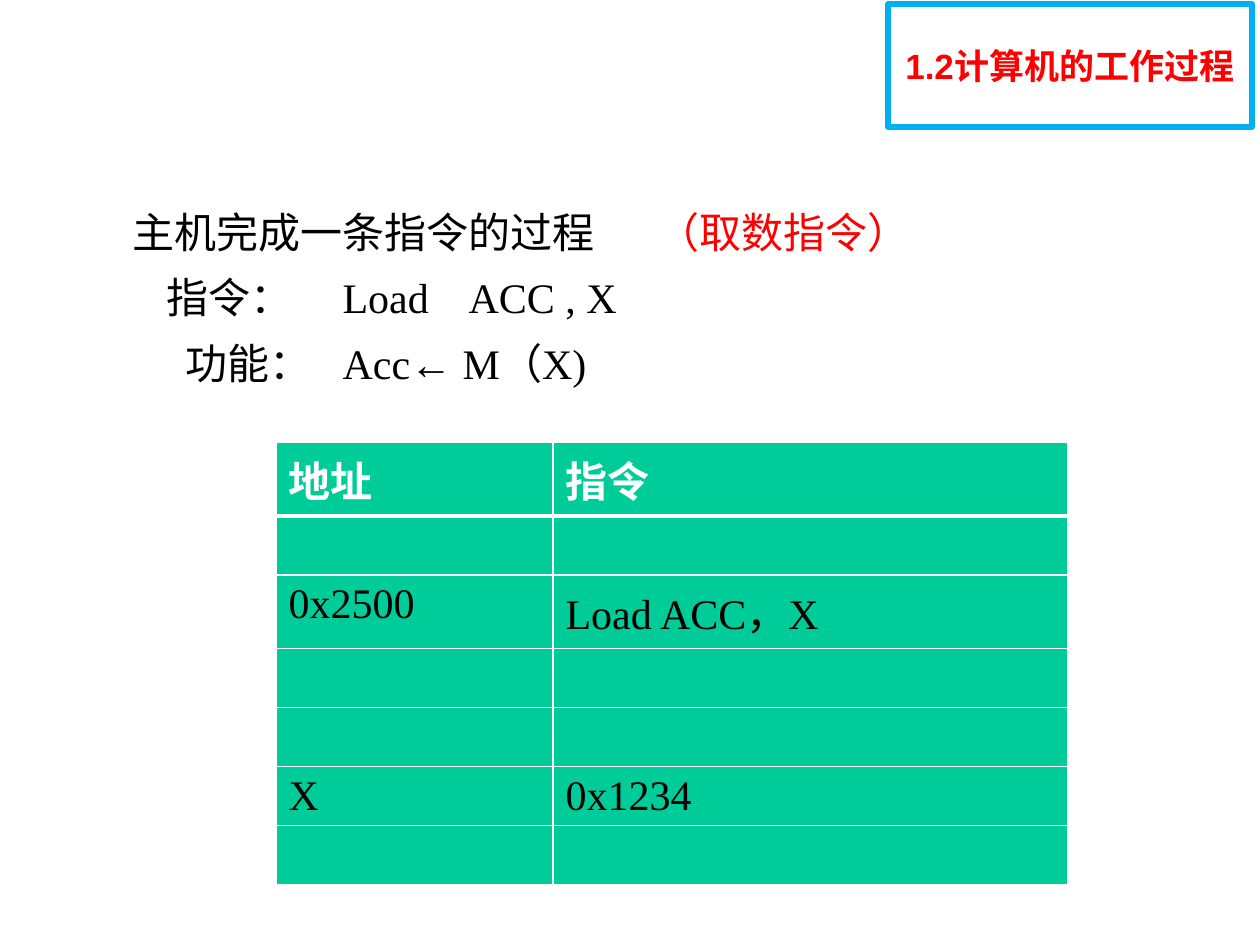
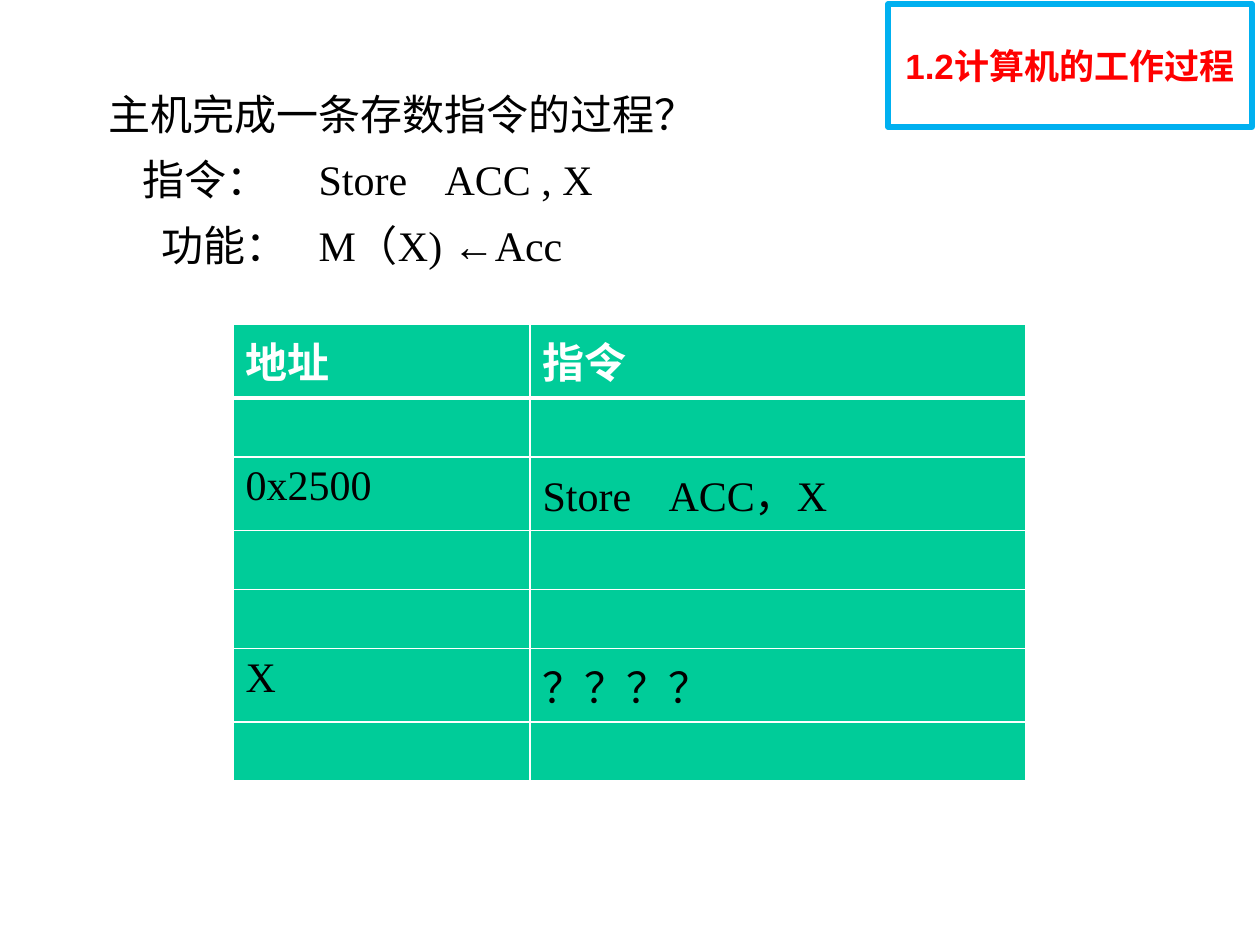
import pptx
import pptx.dml.color
import pptx.enum.shapes
import pptx.enum.text
import pptx.oxml
import pptx.oxml.ns
import pptx.util

RGBColor = pptx.dml.color.RGBColor
BLACK = RGBColor(0x00, 0x00, 0x00)
WHITE = RGBColor(0xFF, 0xFF, 0xFF)
RED = RGBColor(0xFF, 0x00, 0x00)
SKY = RGBColor(0x00, 0xB0, 0xF0)
GREEN = RGBColor(0x00, 0xCC, 0x99)

SERIF = "Times New Roman"
SANS = "Arial"
EMU_PER_PX = 914400 / 126
TITLE_ONLY = 5
NAMESPACE = pptx.oxml.ns.nsdecls("a")


def px(length):
    return pptx.util.Emu(round(length * EMU_PER_PX))


def write(paragraph, text, size=24, font=SERIF, color=BLACK, bold=False):
    run = paragraph.add_run()
    run.text = text
    run.font.size = pptx.util.Pt(size)
    run.font.name = font
    run.font.color.rgb = color
    run.font.bold = bold


def set_tabs(paragraph, stops, indent=0):
    properties = paragraph._p.get_or_add_pPr()
    properties.set("marL", "0")
    properties.set("indent", str(px(indent)))
    tabs = "".join(f'<a:tab pos="{px(stop)}" algn="l"/>' for stop in stops)
    properties.append(pptx.oxml.parse_xml(f"<a:tabLst {NAMESPACE}>{tabs}</a:tabLst>"))


def set_border(cell, side, width):
    cell._tc.get_or_add_tcPr().append(pptx.oxml.parse_xml(
        f'<a:ln{side} {NAMESPACE} w="{pptx.util.Pt(width)}">'
        f'<a:solidFill><a:srgbClr val="{WHITE}"/></a:solidFill></a:ln{side}>'))


class Deck:
    def __init__(self):
        self.presentation = pptx.Presentation()
        self.presentation.slide_width = px(1260)
        self.presentation.slide_height = px(945)
        self.slide = None

    def add_slide(self):
        layout = self.presentation.slide_layouts[TITLE_ONLY]
        self.slide = self.presentation.slides.add_slide(layout)

    def add_title(self, left, top, lines):
        title = self.slide.shapes.title
        title.left, title.top, title.width, title.height = map(px, (left, top, 1119, 665))
        frame = title.text_frame
        frame.word_wrap = True
        frame.auto_size = pptx.enum.text.MSO_AUTO_SIZE.NONE
        frame.vertical_anchor = pptx.enum.text.MSO_ANCHOR.TOP
        for index, (indent, stops, runs) in enumerate(lines):
            paragraph = frame.add_paragraph() if index else frame.paragraphs[0]
            paragraph.alignment = pptx.enum.text.PP_ALIGN.LEFT
            paragraph.line_spacing = 1.3
            set_tabs(paragraph, stops, indent)
            for text, color in runs:
                write(paragraph, text, color=color)

    def add_memory_table(self, left, top, widths, heights, contents, stops=()):
        table = self.slide.shapes.add_table(
            len(heights), len(widths), px(left), px(top),
            px(sum(widths)), px(sum(heights))).table
        for column, width in zip(table.columns, widths):
            column.width = px(width)
        for row_index, height in enumerate(heights):
            table.rows[row_index].height = px(height)
            texts = contents.get(row_index, ("", ""))
            for column_index, text in enumerate(texts):
                cell = table.cell(row_index, column_index)
                self.format_cell(cell, row_index)
                if text:
                    paragraph = cell.text_frame.paragraphs[0]
                    if "\t" in text:
                        set_tabs(paragraph, stops)
                    header = row_index == 0
                    write(paragraph, text, color=WHITE if header else BLACK, bold=header)

    def format_cell(self, cell, row_index):
        top_width = 3 if row_index == 1 else 1
        bottom_width = 3 if row_index == 0 else 1
        for side, width in (("L", 1), ("R", 1), ("T", top_width), ("B", bottom_width)):
            set_border(cell, side, width)
        cell.fill.solid()
        cell.fill.fore_color.rgb = GREEN

    def add_section_box(self, text):
        box = self.slide.shapes.add_shape(
            pptx.enum.shapes.MSO_SHAPE.RECTANGLE, *map(px, (888, 4, 364, 123)))
        box.shadow.inherit = False
        box.fill.background()
        box.line.color.rgb = SKY
        box.line.width = pptx.util.Pt(3)
        frame = box.text_frame
        frame.word_wrap = True
        frame.vertical_anchor = pptx.enum.text.MSO_ANCHOR.MIDDLE
        paragraph = frame.paragraphs[0]
        paragraph.alignment = pptx.enum.text.PP_ALIGN.CENTER
        write(paragraph, text, size=20, font=SANS, color=RED, bold=True)


def main():
    section = "1.2计算机的工作过程"
    header = ("地址", "指令")
    deck = Deck()

    deck.add_slide()
    deck.add_title(78, 185, [
        (42, [543], [("主机完成一条指令的过程\t", BLACK), ("（取数指令）", RED)]),
        (76, [231, 336], [("指令：\tLoad\tACC , X", BLACK)]),
        (95, [250], [("功能：\tAcc← M（X)", BLACK)]),
    ])
    deck.add_memory_table(
        276, 442, [277, 515], [74, 59, 73, 59, 59, 59, 59],
        {0: header, 2: ("0x2500", "Load ACC，X"), 5: ("X", "0x1234")})
    deck.add_section_box(section)

    deck.add_slide()
    deck.add_title(54, 67, [
        (42, [], [("主机完成一条存数指令的过程？", BLACK)]),
        (76, [231, 349], [("指令：\tStore\tACC , X", BLACK)]),
        (95, [250], [("功能：\tM（X) ←Acc", BLACK)]),
    ])
    deck.add_memory_table(
        233, 324, [297, 496], [74, 59, 73, 59, 59, 73, 59],
        {0: header, 2: ("0x2500", "Store\tACC，X"), 5: ("X", "？？？？")}, stops=[107])
    deck.add_section_box(section)

    deck.presentation.save("out.pptx")


if __name__ == "__main__":
    main()
